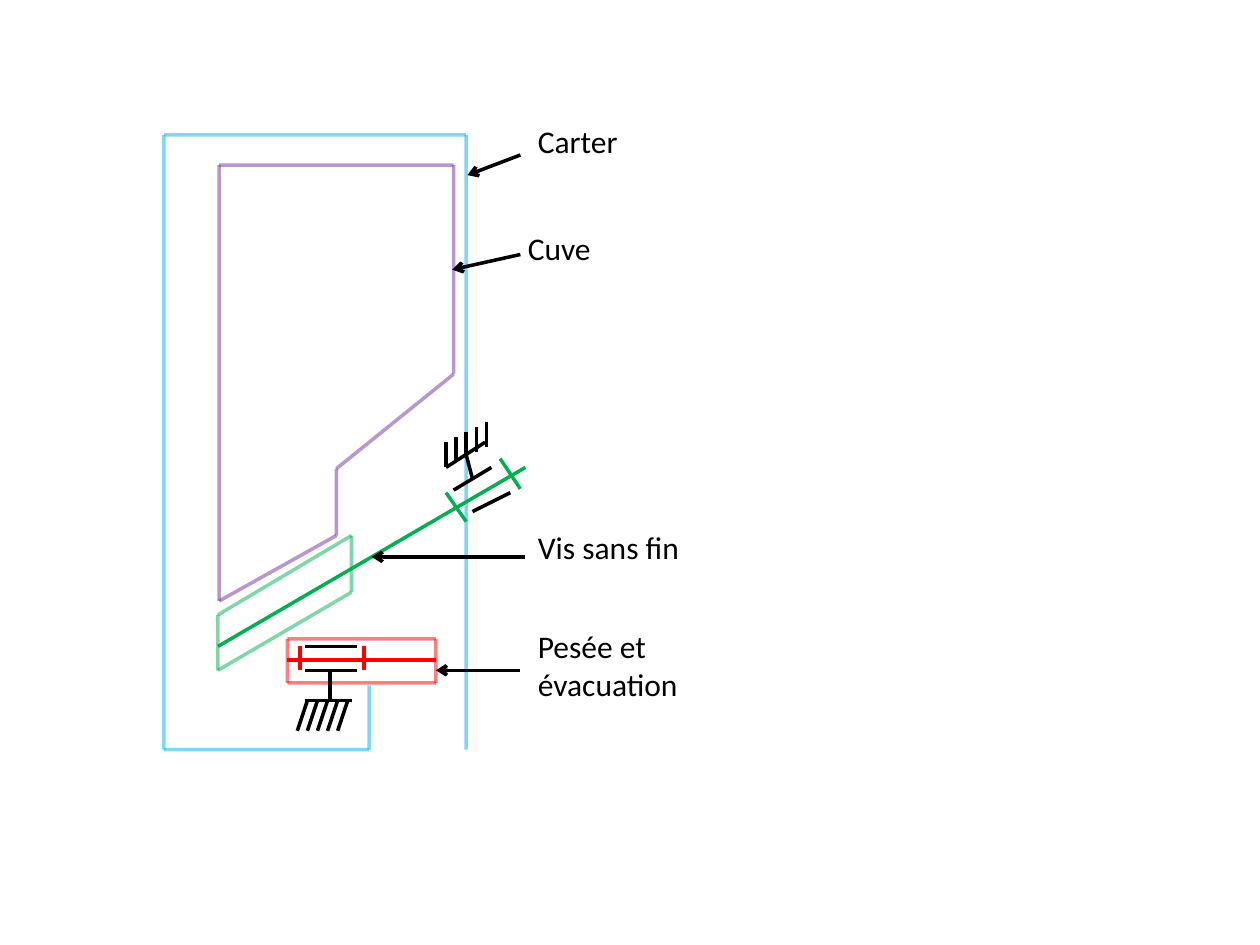
"""Kinematic sketch of a dispenser: housing, tank, worm screw and weighing unit."""
from itertools import pairwise

from pptx import Presentation
from pptx.dml.color import RGBColor
from pptx.enum.shapes import MSO_CONNECTOR
from pptx.enum.text import MSO_AUTO_SIZE as AutoSize
from pptx.oxml.ns import qn
from pptx.util import Inches, Pt
from lxml.etree import SubElement

BLUE, PURPLE, GREEN, RED, BLACK = "00B0F0", "7030A0", "00B050", "FF0000", "000000"


def draw_line(shapes, start, end, color, faded=False, arrow=False):
    line = shapes.add_connector(
        MSO_CONNECTOR.STRAIGHT, *(Inches(value) for value in (*start, *end)))
    line.line.width = Pt(2)
    line.line.color.rgb = RGBColor.from_string(color)
    properties = line._element.spPr
    outline = properties.find(qn("a:ln"))
    if faded:
        tint = outline.find(qn("a:solidFill")).find(qn("a:srgbClr"))
        SubElement(tint, qn("a:alpha")).set("val", "50000")
    if arrow:
        SubElement(outline, qn("a:tailEnd")).set("type", "arrow")
    SubElement(properties, qn("a:effectLst"))


deck = Presentation()
deck.slide_width, deck.slide_height = Inches(10), Inches(7.5)
page = deck.slides.add_slide(deck.slide_layouts[6])

outlines = [
    (BLUE, [(2.93, 5.44), (2.93, 5.95), (1.3, 5.95), (1.3, 1.07), (3.7, 1.07), (3.7, 5.95)]),
    (PURPLE, [(1.74, 1.31), (3.6, 1.31), (3.6, 2.97), (2.67, 3.72),
              (2.67, 4.25), (1.74, 4.77), (1.74, 1.31)]),
    (GREEN, [(2.79, 4.25), (1.73, 4.88), (1.73, 5.32), (2.79, 4.7), (2.79, 4.25)]),
    (RED, [(2.28, 5.07), (3.46, 5.07), (3.46, 5.42), (2.28, 5.42), (2.28, 5.07)]),
]
for color, corners in outlines:
    group = page.shapes.add_group_shape()
    for start, end in pairwise(corners):
        draw_line(group.shapes, start, end, color, faded=True)

shafts = [
    (GREEN, [((1.73, 5.13), (4.17, 3.71)), ((3.97, 3.64), (4.13, 3.88)),
             ((3.54, 3.91), (3.7, 4.14))]),
    (RED, [((2.28, 5.24), (3.46, 5.24)), ((2.89, 5.13), (2.89, 5.32)),
           ((2.38, 5.13), (2.38, 5.32))]),
]
for color, strokes in shafts:
    group = page.shapes.add_group_shape()
    for start, end in strokes:
        draw_line(group.shapes, start, end, color)

bearings = [
    ((2.42, 5.13), (2.83, 5.13)), ((2.42, 5.32), (2.83, 5.32)),
    ((3.6, 3.89), (3.9, 3.71)), ((3.75, 4.06), (4.05, 3.91)),
    ((3.75, 3.8), (3.7, 3.61)), ((2.62, 5.32), (2.62, 5.56)),
]
for start, end in bearings:
    draw_line(page.shapes, start, end, BLACK)

supports = [
    ((3.54, 3.71), (3.85, 3.51), (3.54, 3.71), (0.08, -0.04), (0, -0.2)),
    ((2.42, 5.56), (2.79, 5.56), (2.36, 5.8), (0.08, 0), (0.08, -0.24)),
]
for start, end, (left, top), (step_x, step_y), (run, rise) in supports:
    group = page.shapes.add_group_shape()
    draw_line(group.shapes, start, end, BLACK)
    for index in range(5):
        x, y = left + index * step_x, top + index * step_y
        draw_line(group.shapes, (x, y), (x + run, y + rise), BLACK)

labels = [
    ("Carter", (4.17, 0.92, 0.91, 0.4), (4.13, 1.23), (3.71, 1.39)),
    ("Cuve", (4.09, 1.77, 0.91, 0.4), (4.13, 2.02), (3.59, 2.14)),
    ("Vis sans fin", (4.17, 4.14, 1.38, 0.4), (4.17, 4.42), (2.95, 4.42)),
    ("Pesée et évacuation", (4.17, 4.93, 1.38, 0.71), (4.13, 5.32), (3.46, 5.32)),
]
for text, bounds, start, end in labels:
    draw_line(page.shapes, start, end, BLACK, arrow=True)
    box = page.shapes.add_textbox(*(Inches(value) for value in bounds))
    frame = box.text_frame
    frame.word_wrap = True
    frame.auto_size = AutoSize.SHAPE_TO_FIT_TEXT
    frame.text = text
    font = frame.paragraphs[0].runs[0].font
    font.name, font.size = "Calibri", Pt(18)
    font.color.rgb = RGBColor.from_string(BLACK)

deck.save("out.pptx")
